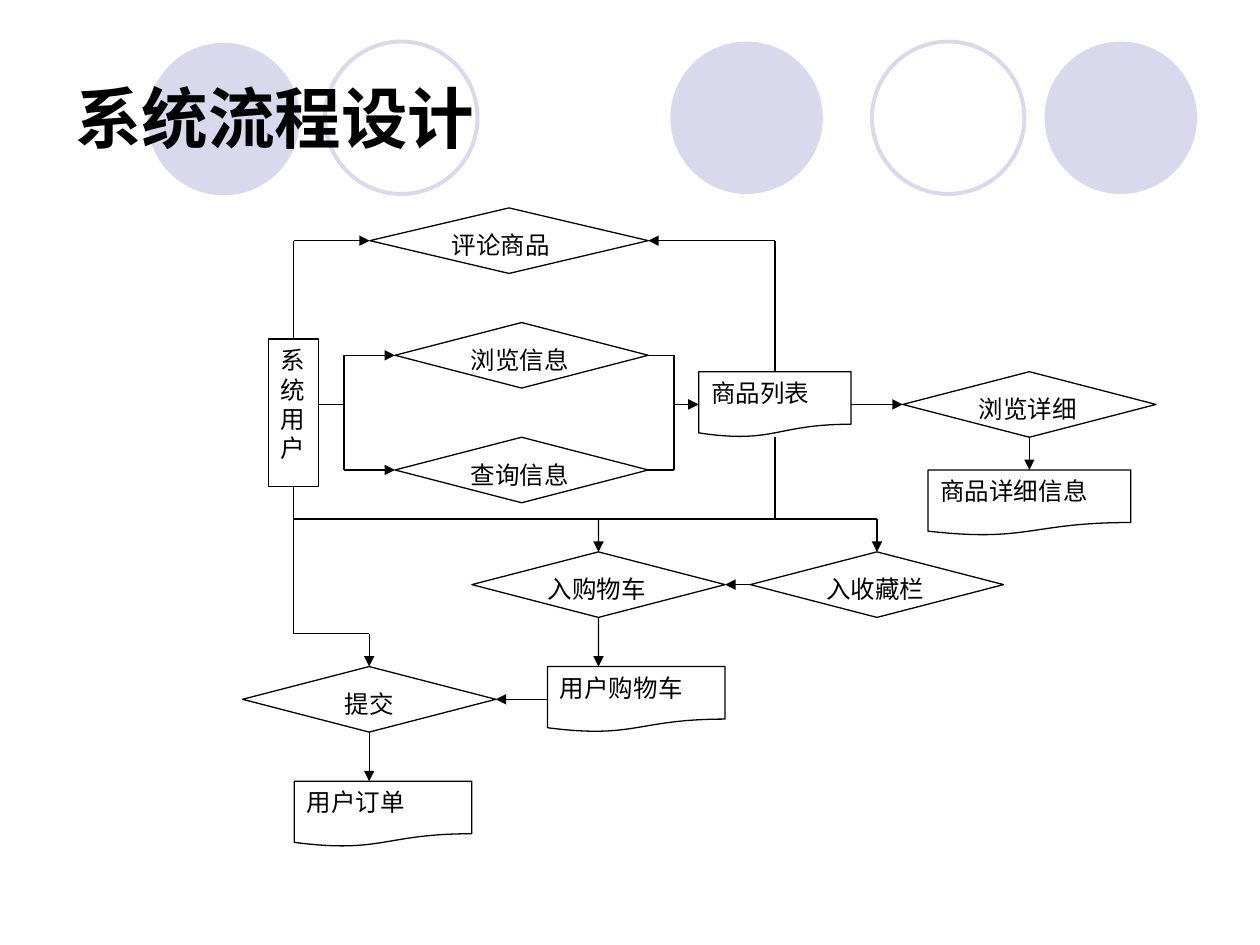
from dataclasses import dataclass
from typing import Any

from lxml.etree import SubElement
from pptx import Presentation
from pptx.dml.color import RGBColor
from pptx.enum.shapes import MSO_CONNECTOR, MSO_SHAPE
from pptx.enum.text import MSO_ANCHOR, PP_ALIGN
from pptx.oxml.ns import qn
from pptx.util import Inches, Pt

INK, PAPER, LILAC = "000000", "FFFFFF", "D9D8EC"
TOP, LEFT, BOTTOM, RIGHT = range(4)
DECISION = MSO_SHAPE.FLOWCHART_DECISION
DOCUMENT = MSO_SHAPE.FLOWCHART_DOCUMENT
ROWS = [round(1.91 + 0.91 * i, 2) for i in range(6)]
LIST_Y, BUS_Y, TURN_Y = 3.21, 4.12, 5.03
USER_X, SPLIT_X, MERGE_X, LIST_X = 2.33, 2.73, 5.35, 6.15
SUBMIT_X, CART_X, SAVED_X = 2.93, 4.75, 6.96


@dataclass
class Circle:
    x: float
    y: float = 0.33
    filled: bool = True


@dataclass
class Node:
    """A flowchart step placed by its centre."""
    text: str
    kind: MSO_SHAPE
    cx: float
    cy: float
    w: float = 2.01
    h: float = 0.52
    font: str = "Times New Roman"
    align: PP_ALIGN = PP_ALIGN.JUSTIFY

    def side(self, i: int) -> tuple[float, float]:
        dx, dy = [(0, -1), (-1, 0), (0, 1), (1, 0)][i]
        return self.cx + dx * self.w / 2, self.cy + dy * self.h / 2


@dataclass
class Route:
    """Straight runs through stops: (x, y) points or (node key, side) joins."""
    stops: list[tuple]
    arrow: bool = True


CIRCLES = [Circle(5.32), Circle(8.29), Circle(1.17, 0.34),
           Circle(6.92, filled=False), Circle(2.58, filled=False)]

NODES = {
    "user": Node("系统用户", MSO_SHAPE.RECTANGLE, USER_X, 3.275, 0.4, 1.17),
    "comment": Node("评论商品", DECISION, 4.04, ROWS[0], 2.21),
    "browse": Node("浏览信息", DECISION, 4.14, ROWS[1]),
    "query": Node("查询信息", DECISION, 4.14, ROWS[2]),
    "list": Node("商品列表", DOCUMENT, LIST_X, LIST_Y, 1.21),
    "detail": Node("浏览详细", DECISION, 8.17, LIST_Y),
    "detail_doc": Node("商品详细信息", DOCUMENT, 8.17, 3.99, 1.61),
    "cart": Node("入购物车", DECISION, CART_X, ROWS[3]),
    "saved": Node("入收藏栏", DECISION, SAVED_X, ROWS[3]),
    "submit": Node("提交", DECISION, SUBMIT_X, ROWS[4], font="Arial", align=PP_ALIGN.CENTER),
    "cart_doc": Node("用户购物车", DOCUMENT, 5.05, ROWS[4], 1.41),
    "order": Node("用户订单", DOCUMENT, 3.04, ROWS[5], 1.41),
}

ROUTES = [
    Route([("user", TOP), (USER_X, ROWS[0]), ("comment", LEFT)]),
    Route([("list", TOP), (LIST_X, ROWS[0]), ("comment", RIGHT)]),
    Route([(2.53, LIST_Y), (SPLIT_X, LIST_Y)], arrow=False),
    Route([(SPLIT_X, LIST_Y), (SPLIT_X, ROWS[1]), ("browse", LEFT)]),
    Route([(SPLIT_X, LIST_Y), (SPLIT_X, ROWS[2]), ("query", LEFT)]),
    Route([("browse", RIGHT), (MERGE_X, ROWS[1]), (MERGE_X, ROWS[2]), ("query", RIGHT)],
          arrow=False),
    Route([(MERGE_X, LIST_Y), ("list", LEFT)]),
    Route([("list", RIGHT), ("detail", LEFT)]),
    Route([("detail", BOTTOM), ("detail_doc", TOP)]),
    Route([(LIST_X, 3.47), (LIST_X, BUS_Y)], arrow=False),
    Route([(USER_X, BUS_Y), (SAVED_X, BUS_Y), ("saved", TOP)]),
    Route([(CART_X, BUS_Y), ("cart", TOP)]),
    Route([("saved", LEFT), ("cart", RIGHT)]),
    Route([("user", BOTTOM), (USER_X, TURN_Y), (SUBMIT_X, TURN_Y), ("submit", TOP)]),
    Route([("cart", BOTTOM), (CART_X, 5.29)]),
    Route([("cart_doc", LEFT), ("submit", RIGHT)]),
    Route([("submit", BOTTOM), (SUBMIT_X, 6.2)]),
]


def rgb(color: str) -> RGBColor:
    return RGBColor.from_string(color)


def set_attrs(target: Any, values: dict[str, Any]) -> None:
    for name, value in values.items():
        setattr(target, name, value)


def write(sp: Any, text: str, anchor: MSO_ANCHOR, align: PP_ALIGN, font: dict[str, Any]) -> None:
    tf = sp.text_frame
    set_attrs(tf, {"word_wrap": True, "vertical_anchor": anchor})
    p = tf.paragraphs[0]
    p.alignment = align
    r = p.add_run()
    r.text = text
    set_attrs(r.font, font)
    r.font.color.rgb = rgb(INK)


def add_shape(s: Any, kind: MSO_SHAPE, box: tuple, fill: str | None, line: str | None,
              width: float = 0.75) -> Any:
    sp = s.shapes.add_shape(kind, *map(Inches, box))
    sp.shadow.inherit = False
    if fill:
        sp.fill.solid()
        sp.fill.fore_color.rgb = rgb(fill)
    else:
        sp.fill.background()
    if line:
        sp.line.color.rgb = rgb(line)
        sp.line.width = Pt(width)
    else:
        sp.line.fill.background()
    return sp


def add_circle(s: Any, c: Circle) -> None:
    fill, line = (LILAC, None) if c.filled else (None, LILAC)
    add_shape(s, MSO_SHAPE.OVAL, (c.x, c.y, 1.21, 1.21), fill, line, 2.25)


def add_node(s: Any, n: Node) -> Any:
    box = (n.cx - n.w / 2, n.cy - n.h / 2, n.w, n.h)
    sp = add_shape(s, n.kind, box, PAPER, INK)
    write(sp, n.text, MSO_ANCHOR.TOP, n.align, {"name": n.font, "size": Pt(14)})
    return sp


def position(stop: tuple) -> tuple[float, float]:
    return NODES[stop[0]].side(stop[1]) if isinstance(stop[0], str) else stop


def add_route(s: Any, route: Route, shapes: dict[str, Any]) -> None:
    last = route.stops[-1]
    for start, end in zip(route.stops, route.stops[1:]):
        points = map(Inches, position(start) + position(end))
        line = s.shapes.add_connector(MSO_CONNECTOR.STRAIGHT, *points)
        for stop, join in ((start, line.begin_connect), (end, line.end_connect)):
            if stop[0] in shapes:
                join(shapes[stop[0]], stop[1])
        line.line.color.rgb = rgb(INK)
        line.line.width = Pt(0.75)
        if route.arrow and end is last:
            SubElement(line.line._get_or_add_ln(), qn("a:tailEnd"), type="triangle")
        SubElement(line._element.spPr, qn("a:effectLst"))


def main() -> None:
    prs = Presentation()
    set_attrs(prs, {"slide_width": Inches(10), "slide_height": Inches(7.5)})
    s = prs.slides.add_slide(prs.slide_layouts[6])
    for circle in CIRCLES:
        add_circle(s, circle)
    title = s.shapes.add_textbox(*map(Inches, (0.5, 0.3, 9, 1.25)))
    write(title, "系统流程设计", MSO_ANCHOR.MIDDLE, PP_ALIGN.LEFT,
          {"name": "Arial", "size": Pt(38), "bold": True})
    shapes = {key: add_node(s, node) for key, node in NODES.items()}
    for route in ROUTES:
        add_route(s, route, shapes)
    prs.save("out.pptx")


if __name__ == "__main__":
    main()
